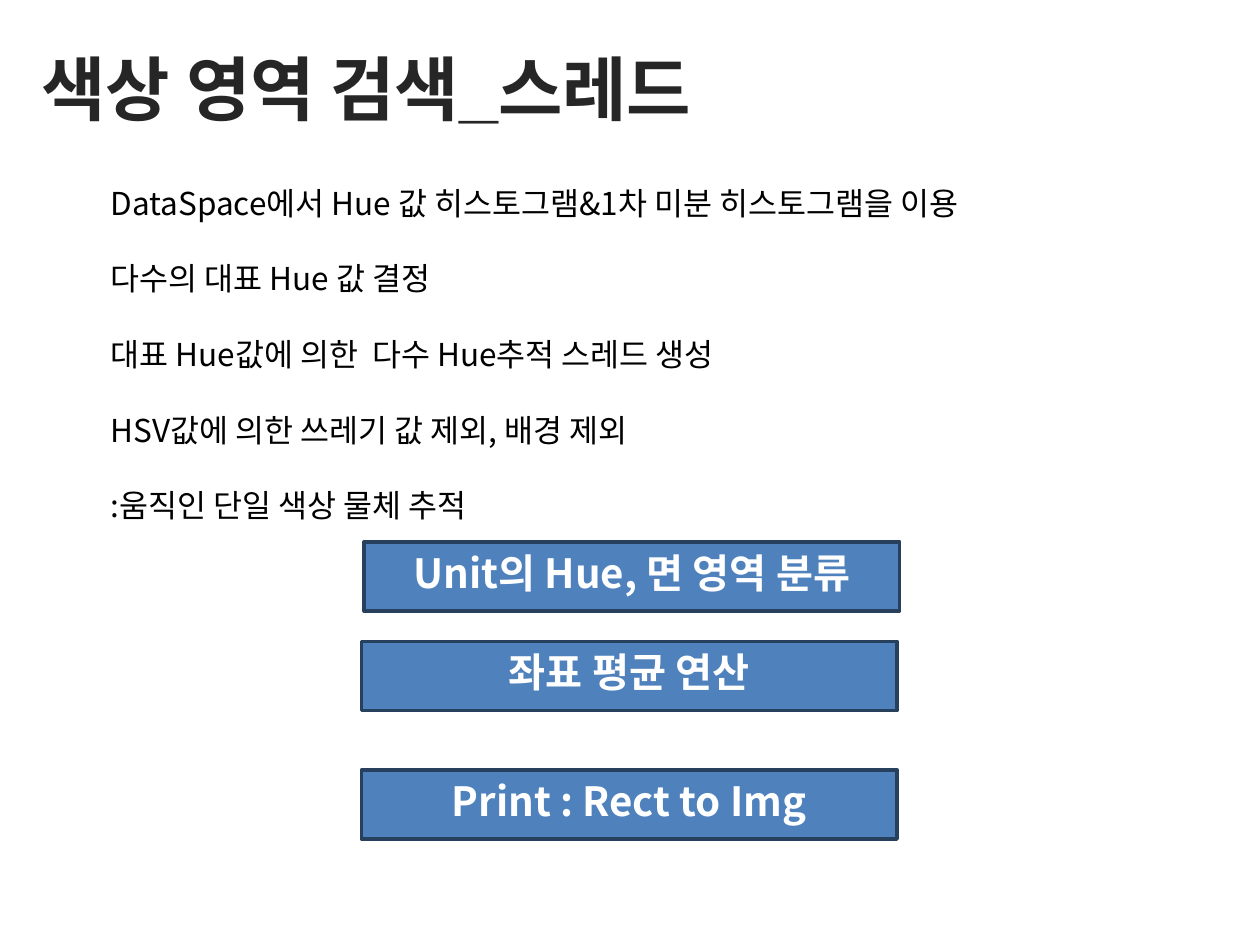
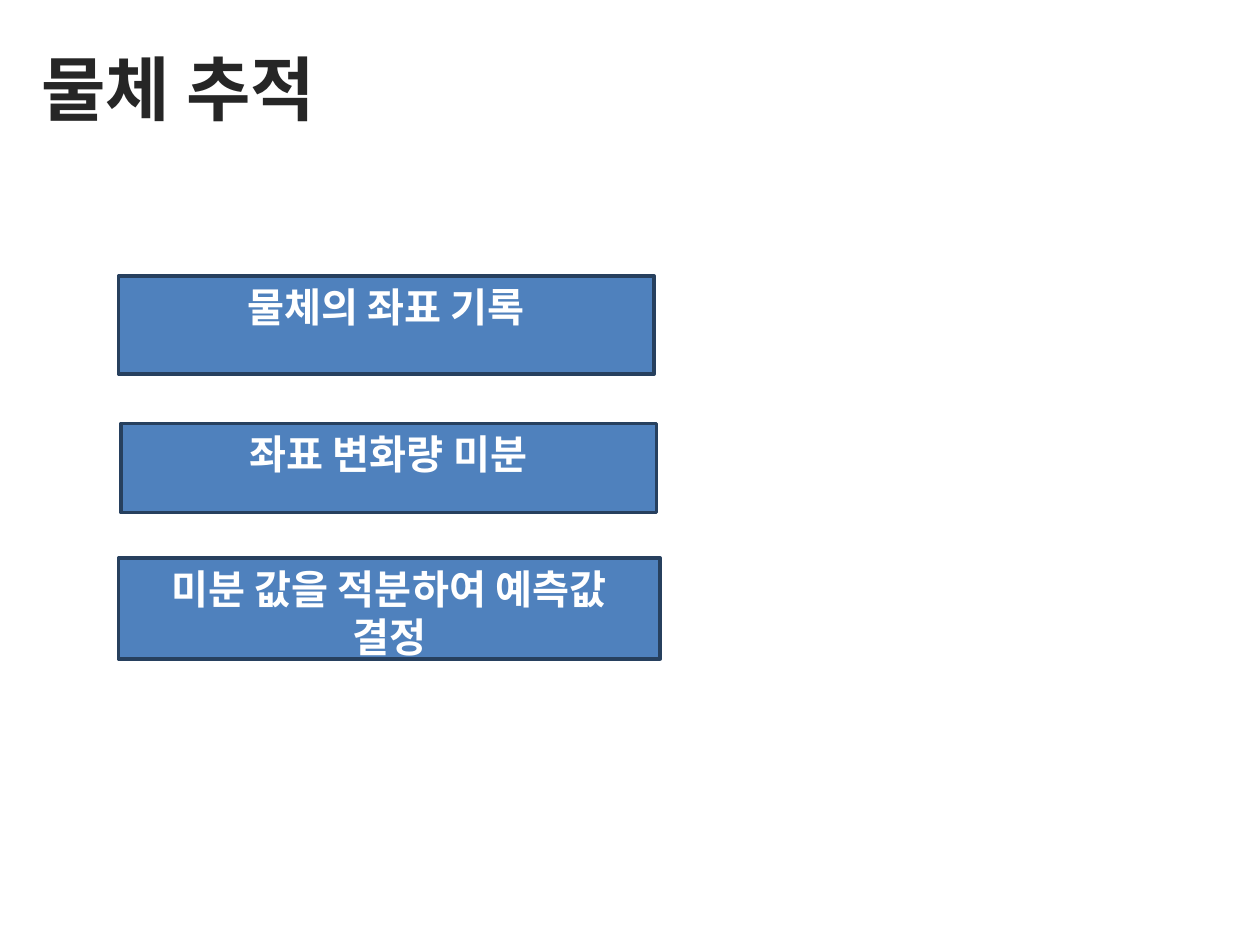
import pptx
import pptx.util
import pptx.dml.color
import pptx.enum.shapes
import pptx.enum.text
import pptx.oxml.ns
from lxml import etree

Inches, Pt = pptx.util.Inches, pptx.util.Pt
ALIGN = pptx.enum.text.PP_ALIGN

COLORS = {"title": "262626", "body": "000000", "box": "4F81BD",
          "border": "27405E", "box_text": "FFFFFF"}
TITLE_FONT, KOREAN_FONT = "Arial", "Noto Sans CJK KR"
LINE_RATIO = 1.2
TITLE_AREA = (0.23, 0.31, 6.87, 0.77)
BODY_AREA = (0.78, 1.41, 8.83, 2.83)

# Each step: text, (left, top, width, height)
SLIDES = [
    {
        "title": "색상 영역 검색_스레드",
        "body": [
            "DataSpace에서 Hue 값 히스토그램&1차 미분 히스토그램을 이용",
            "다수의 대표 Hue 값 결정",
            "대표 Hue값에 의한  다수 Hue추적 스레드 생성",
            "HSV값에 의한 쓰레기 값 제외, 배경 제외",
            ":움직인 단일 색상 물체 추적",
        ],
        "steps": [
            ("Unit의 Hue, 면 영역 분류", (2.89, 4.3, 4.25, 0.55)),
            ("좌표 평균 연산", (2.87, 5.09, 4.25, 0.55)),
            ("Print : Rect to Img", (2.87, 6.11, 4.25, 0.55)),
        ],
    },
    {
        "title": "물체 추적",
        "body": [],
        "steps": [
            ("물체의 좌표 기록", (0.94, 2.19, 4.25, 0.78)),
            ("좌표 변화량 미분", (0.96, 3.36, 4.25, 0.71)),
            ("미분 값을 적분하여 예측값 결정", (0.94, 4.43, 4.3, 0.8)),
        ],
    },
]


def rgb(name):
    return pptx.dml.color.RGBColor.from_string(COLORS[name])


def inches(area):
    return [Inches(v) for v in area]


def write(sp, lines, size, color, font=KOREAN_FONT, bold=False,
          align=ALIGN.LEFT, gap=0):
    """Fill a shape with one paragraph per line, gap points apart."""
    tf = sp.text_frame
    tf.text = "\n".join(lines)
    tf.word_wrap = True
    tf.auto_size = pptx.enum.text.MSO_AUTO_SIZE.NONE
    tf.vertical_anchor = pptx.enum.text.MSO_ANCHOR.TOP
    for i, p in enumerate(tf.paragraphs):
        p.alignment = align
        p.line_spacing = Pt(size * LINE_RATIO)
        p.space_before = Pt(gap if i else 0)
        for r in p.runs:
            r.font.name, r.font.size, r.font.bold = font, Pt(size), bold
            r.font.color.rgb = rgb(color)
            ea = etree.SubElement(r.font._element, pptx.oxml.ns.qn("a:ea"))
            ea.set("typeface", KOREAN_FONT)


def add_title(slide, text):
    sp = slide.shapes.title
    sp.left, sp.top, sp.width, sp.height = inches(TITLE_AREA)
    write(sp, [text], 40, "title", font=TITLE_FONT, bold=True)


def add_body(slide, lines):
    sp = slide.shapes.add_textbox(*inches(BODY_AREA))
    write(sp, lines, 18, "body", gap=18 * LINE_RATIO)


def add_step(slide, text, area):
    sp = slide.shapes.add_shape(pptx.enum.shapes.MSO_SHAPE.RECTANGLE, *inches(area))
    sp.shadow.inherit = False
    sp.fill.solid()
    sp.fill.fore_color.rgb = rgb("box")
    sp.line.color.rgb = rgb("border")
    sp.line.width = Pt(2)
    write(sp, [text], 23, "box_text", bold=True, align=ALIGN.CENTER)


def main():
    prs = pptx.Presentation()
    prs.slide_width, prs.slide_height = Inches(10), Inches(7.5)
    for content in SLIDES:
        slide = prs.slides.add_slide(prs.slide_layouts.get_by_name("Title Only"))
        add_title(slide, content["title"])
        if content["body"]:
            add_body(slide, content["body"])
        for text, area in content["steps"]:
            add_step(slide, text, area)
    prs.save("out.pptx")


if __name__ == "__main__":
    main()
